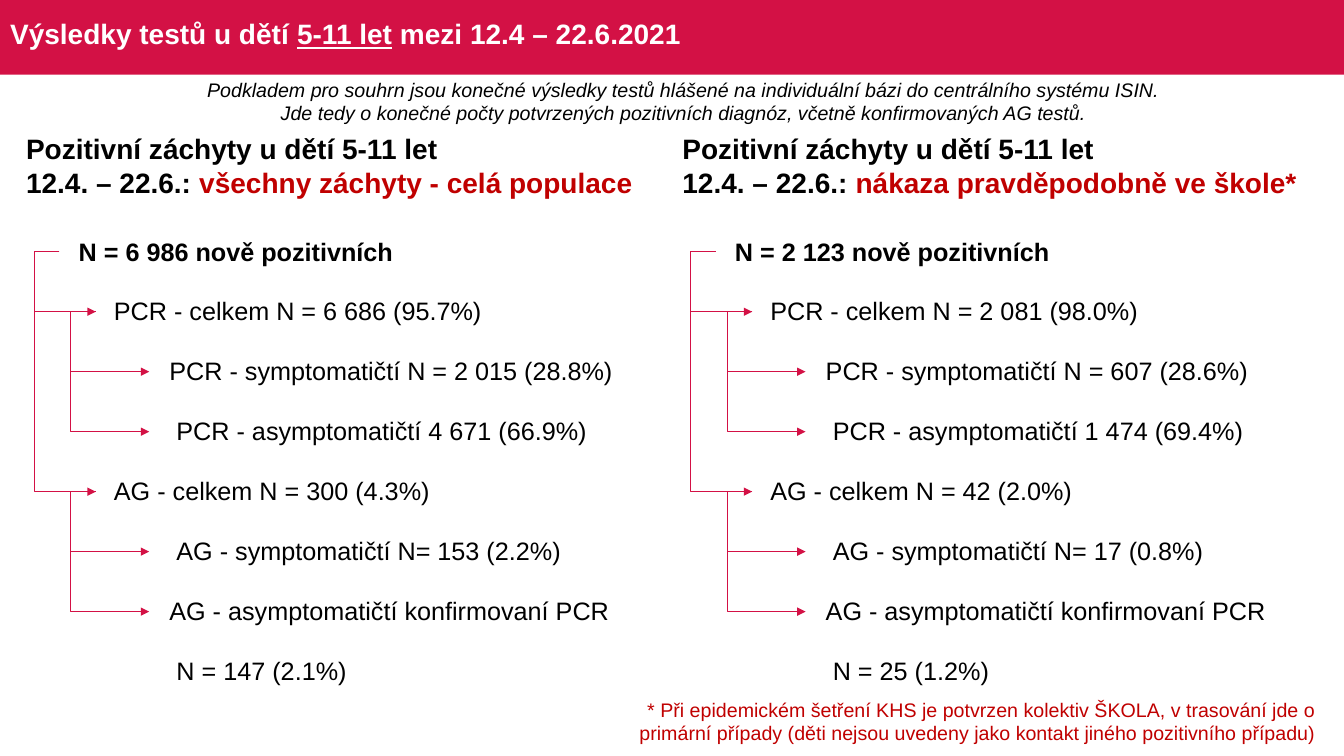
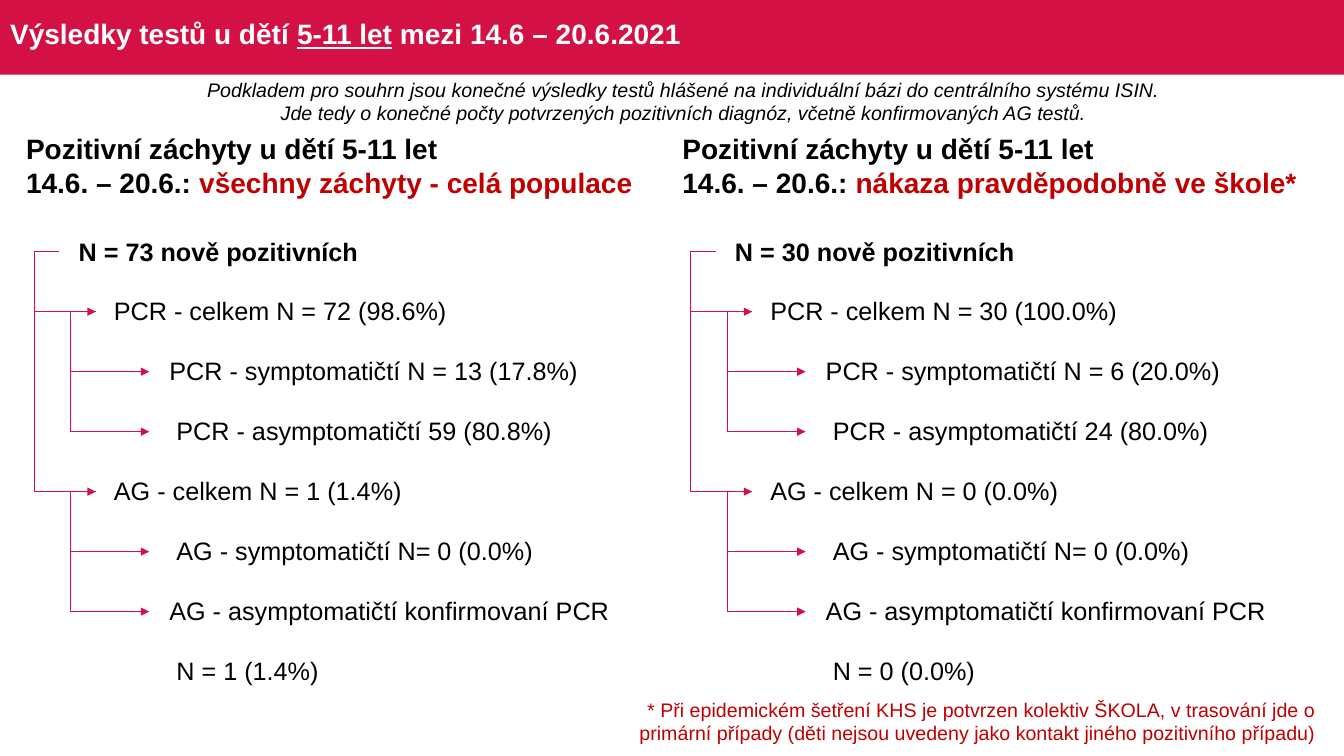
"""Builds two slides that compare positive test counts in children aged 5-11."""
import pptx
import pptx.dml.color
import pptx.enum.shapes
import pptx.enum.text
import pptx.oxml
import pptx.oxml.ns
import pptx.util

Inches = pptx.util.Inches
Pt = pptx.util.Pt
ALIGN = pptx.enum.text.PP_ALIGN
MIDDLE = pptx.enum.text.MSO_ANCHOR.MIDDLE

COLORS = {"band": "D31145", "accent": "C00000", "text": "000000", "title": "FFFFFF"}
FONT = "Arial"

SOURCE_NOTE = [
    "Podkladem pro souhrn jsou konečné výsledky testů hlášené na individuální bázi do centrálního systému ISIN.",
    "Jde tedy o konečné počty potvrzených pozitivních diagnóz, včetně konfirmovaných AG testů.",
]
SCHOOL_NOTE = (
    "* Při epidemickém šetření KHS je potvrzen kolektiv ŠKOLA, v trasování jde o "
    "primární případy (děti nejsou uvedeny jako kontakt jiného pozitivního případu)"
)
GROUPS = ["všechny záchyty - celá populace", "nákaza pravděpodobně ve škole*"]

ROWS = [
    ("N = {} nově pozitivních", 0.01),
    ("PCR - celkem N = {}", 0.36),
    ("PCR - symptomatičtí N = {}", 0.91),
    ("PCR - asymptomatičtí {}", 0.98),
    ("AG - celkem N = {}", 0.36),
    ("AG - symptomatičtí N= {}", 0.98),
    ("AG - asymptomatičtí konfirmovaní PCR", 0.91),
    ("N = {}", 0.98),
]
BRANCHES = [(0, 1), (0, 4), (1, 2), (1, 3), (4, 5), (4, 6)]

PERIODS = [
    {
        "title": "12.4 – 22.6.2021",
        "heading": "12.4. – 22.6.: ",
        "counts": [
            ["6 986", "6 686 (95.7%)", "2 015 (28.8%)", "4 671 (66.9%)",
             "300 (4.3%)", "153 (2.2%)", "", "147 (2.1%)"],
            ["2 123", "2 081 (98.0%)", "607 (28.6%)", "1 474 (69.4%)",
             "42 (2.0%)", "17 (0.8%)", "", "25 (1.2%)"],
        ],
    },
    {
        "title": "14.6 – 20.6.2021",
        "heading": "14.6. – 20.6.: ",
        "counts": [
            ["73", "72 (98.6%)", "13 (17.8%)", "59 (80.8%)",
             "1 (1.4%)", "0 (0.0%)", "", "1 (1.4%)"],
            ["30", "30 (100.0%)", "6 (20.0%)", "24 (80.0%)",
             "0 (0.0%)", "0 (0.0%)", "", "0 (0.0%)"],
        ],
    },
]

PANEL_LEFT, PANEL_STEP = 0.16, 6.51
TREE_TOP, TREE_HEIGHT = 2.2, 4.76
ROW_HEIGHT = TREE_HEIGHT / len(ROWS)
TRUNK_GAP = 0.25


def rgb(name):
    return pptx.dml.color.RGBColor.from_string(COLORS[name])


def write(frame, paragraphs, size=18, color="text", bold=False, italic=False,
          align=ALIGN.LEFT, spacing=None):
    """Fills a frame; a paragraph is a string or a list of (text, overrides) runs."""
    frame.word_wrap = True
    for index, content in enumerate(paragraphs):
        paragraph = frame.add_paragraph() if index else frame.paragraphs[0]
        paragraph.alignment = align
        paragraph.line_spacing = spacing
        runs = [(content, {})] if isinstance(content, str) else content
        for text, overrides in runs:
            run = paragraph.add_run()
            run.text = text
            run.font.name = FONT
            run.font.size = Pt(size)
            run.font.bold = bold
            run.font.italic = italic
            run.font.underline = overrides.get("underline", False)
            run.font.color.rgb = rgb(overrides.get("color", color))


def add_text(slide, left, top, width, height, paragraphs, **style):
    box = slide.shapes.add_textbox(Inches(left), Inches(top), Inches(width), Inches(height))
    write(box.text_frame, paragraphs, **style)


def add_band(layout, slide, width):
    """Draws the title band and moves it to the back of the layout."""
    band = slide.shapes.add_shape(
        pptx.enum.shapes.MSO_SHAPE.RECTANGLE, 0, 0, width, Inches(0.74))
    band.shadow.inherit = False
    band.fill.solid()
    band.fill.fore_color.rgb = rgb("band")
    band.line.fill.background()
    layout.shapes._spTree.insert(2, band.element)


def add_title(slide, period):
    title = slide.shapes.title
    title.left, title.top = Inches(0), Inches(0.04)
    title.width, title.height = Inches(13.15), Inches(0.63)
    title.text_frame.vertical_anchor = MIDDLE
    runs = [("Výsledky testů u dětí ", {}), ("5-11 let", {"underline": True}),
            (" mezi " + period, {})]
    write(title.text_frame, [runs], size=20, color="title", bold=True, spacing=0.9)


def add_counts(slide, left, counts):
    table = slide.shapes.add_table(
        len(ROWS), 1, Inches(left), Inches(TREE_TOP), Inches(6.01), Inches(TREE_HEIGHT)).table
    table.first_row = table.horz_banding = False
    for index, ((label, indent), count) in enumerate(zip(ROWS, counts)):
        cell = table.cell(index, 0)
        cell.fill.background()
        cell.vertical_anchor = MIDDLE
        cell.margin_left = Inches(indent)
        cell.margin_right = cell.margin_top = Inches(0.01)
        cell.margin_bottom = 0
        write(cell.text_frame, [label.format(count)], bold=index == 0)


def add_branch(slide, left, parent, child):
    """Draws an elbow arrow that leaves the parent row to the left."""
    start, end = (0.43, 0.79) if parent == 0 else (0.79, 1.32)
    parent_y, child_y = (TREE_TOP + ROW_HEIGHT * (row + 0.5) for row in (parent, child))
    branch = slide.shapes.add_connector(
        pptx.enum.shapes.MSO_CONNECTOR.ELBOW, Inches(left + start), Inches(parent_y),
        Inches(left + end), Inches(child_y))
    branch.line.color.rgb = rgb("band")
    branch.line.width = Pt(0.5)
    properties = branch.element.spPr
    guides = properties.find(pptx.oxml.ns.qn("a:prstGeom")).get_or_add_avLst()
    bend = pptx.oxml.parse_xml(f'<a:gd {pptx.oxml.ns.nsdecls("a")} name="adj1"/>')
    bend.set("fmla", f"val {round(-TRUNK_GAP / (end - start) * 100000)}")
    guides.append(bend)
    head = pptx.oxml.parse_xml(f'<a:tailEnd {pptx.oxml.ns.nsdecls("a")} type="triangle"/>')
    branch.line._get_or_add_ln().append(head)
    properties.append(pptx.oxml.parse_xml(f'<a:effectLst {pptx.oxml.ns.nsdecls("a")}/>'))


def add_panel(slide, left, heading, group, counts):
    add_counts(slide, left + 0.61, counts)
    add_text(slide, left, 1.26, 6.34, 0.77,
             ["Pozitivní záchyty u dětí 5-11 let",
              [(heading, {}), (group, {"color": "accent"})]],
             size=20, bold=True)
    for parent, child in BRANCHES:
        add_branch(slide, left, parent, child)


def main():
    deck = pptx.Presentation()
    deck.slide_width, deck.slide_height = Inches(13.33), Inches(7.5)
    layout = deck.slide_layouts[5]
    for number, period in enumerate(PERIODS):
        slide = deck.slides.add_slide(layout)
        if number == 0:
            add_band(layout, slide, deck.slide_width)
        add_title(slide, period["title"])
        for index, (group, counts) in enumerate(zip(GROUPS, period["counts"])):
            add_panel(slide, PANEL_LEFT + index * PANEL_STEP, period["heading"], group, counts)
        add_text(slide, 6.2, 6.87, 6.95, 0.57, [SCHOOL_NOTE],
                 size=14, color="accent", align=ALIGN.RIGHT)
        add_text(slide, 1.79, 0.72, 9.98, 0.57, SOURCE_NOTE,
                 size=14, italic=True, align=ALIGN.CENTER)
    deck.save("out.pptx")


if __name__ == "__main__":
    main()
